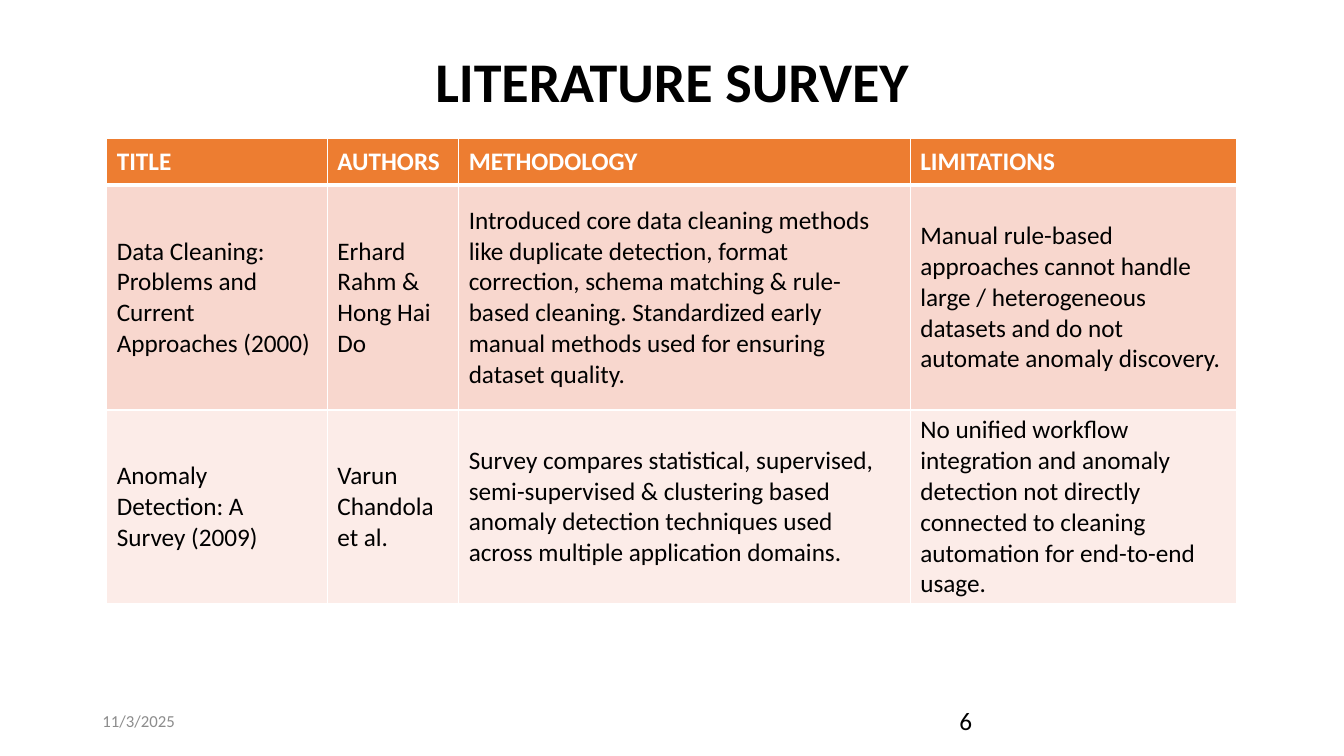
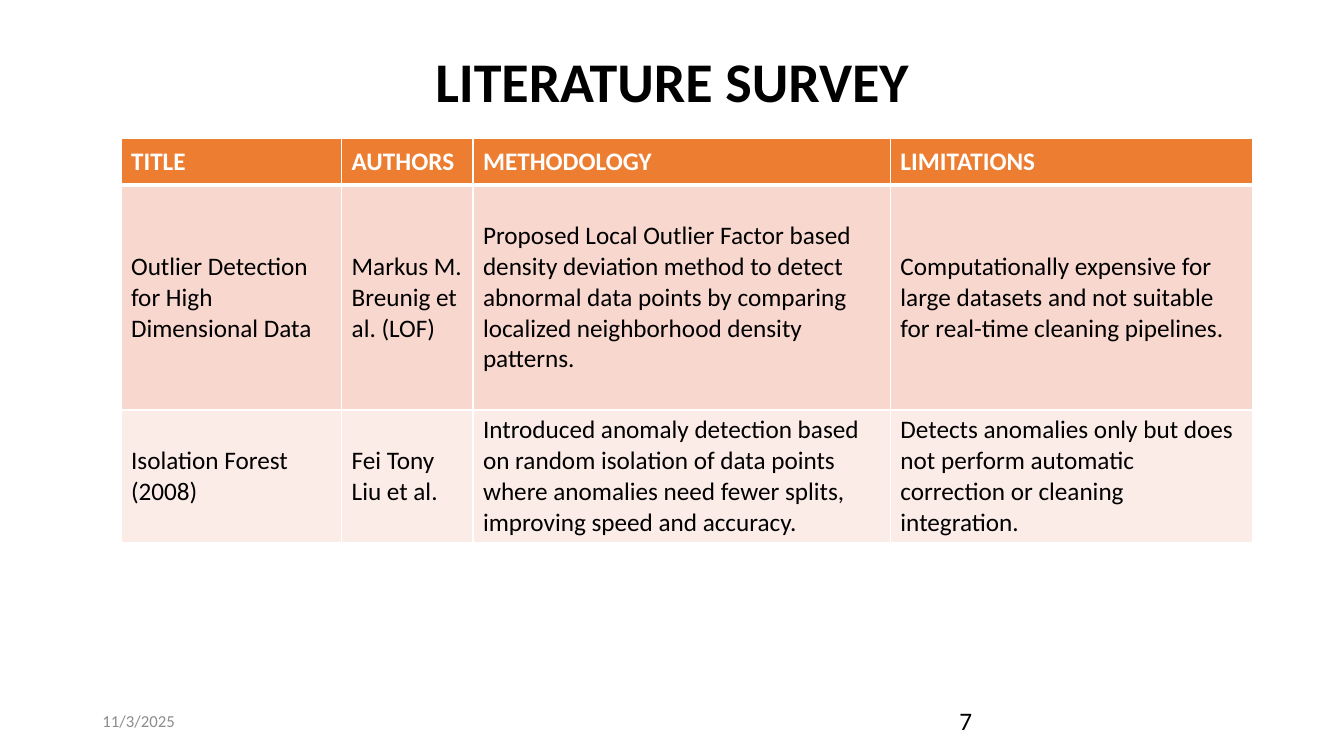
from lxml.etree import SubElement
from pptx import Presentation
from pptx.dml.color import RGBColor
from pptx.enum.text import MSO_ANCHOR, PP_ALIGN
from pptx.oxml.ns import qn
from pptx.util import Cm, Pt

FONT = "Calibri"
BLACK = RGBColor(0x00, 0x00, 0x00)
WHITE = RGBColor(0xFF, 0xFF, 0xFF)
GREY = RGBColor(0x8C, 0x8C, 0x8C)
ORANGE = RGBColor(0xED, 0x7D, 0x31)
BANDS = [RGBColor(0xF8, 0xD7, 0xCE), RGBColor(0xFC, 0xEC, 0xE8)]

TITLE = "LITERATURE SURVEY"
DATE = "11/3/2025"
HEADER = ("TITLE", "AUTHORS", "METHODOLOGY", "LIMITATIONS")
TABLE_TOP = 3.48

# Positions, column widths and row heights are in centimetres.
SLIDES = [
    {
        "number": 6,
        "left": 2.69,
        "columns": (5.56, 3.31, 11.38, 8.23),
        "rows": (1.19, 5.66, 4.88),
        "papers": [
            ("Data Cleaning: Problems and Current Approaches (2000)",
             "Erhard Rahm & Hong Hai Do",
             "Introduced core data cleaning methods like duplicate detection, "
             "format correction, schema matching & rule-based cleaning. "
             "Standardized early manual methods used for ensuring dataset quality.",
             "Manual rule-based approaches cannot handle large / heterogeneous "
             "datasets and do not automate anomaly discovery."),
            ("Anomaly Detection: A Survey (2009)",
             "Varun Chandola et al.",
             "Survey compares statistical, supervised, semi-supervised & "
             "clustering based anomaly detection techniques used across "
             "multiple application domains.",
             "No unified workflow integration and anomaly detection not directly "
             "connected to cleaning automation for end-to-end usage."),
        ],
    },
    {
        "number": 7,
        "left": 3.05,
        "columns": (5.56, 3.31, 10.52, 9.12),
        "rows": (1.19, 5.66, 3.35),
        "papers": [
            ("Outlier Detection for High Dimensional Data",
             "Markus M. Breunig et al. (LOF)",
             "Proposed Local Outlier Factor based density deviation method to "
             "detect abnormal data points by comparing localized neighborhood "
             "density patterns.",
             "Computationally expensive for large datasets and not suitable for "
             "real-time cleaning pipelines."),
            ("Isolation Forest (2008)",
             "Fei Tony Liu et al.",
             "Introduced anomaly detection based on random isolation of data "
             "points where anomalies need fewer splits, improving speed and "
             "accuracy.",
             "Detects anomalies only but does not perform automatic correction "
             "or cleaning integration."),
        ],
    },
]


def style(p, size, color, bold=False):
    p.font.name = FONT
    p.font.size = Pt(size)
    p.font.color.rgb = color
    p.font.bold = bold


def add_text(slide, text, box, size, color=BLACK, bold=False,
             anchor=MSO_ANCHOR.MIDDLE):
    tf = slide.shapes.add_textbox(*(Cm(v) for v in box)).text_frame
    tf.word_wrap = True
    tf.vertical_anchor = anchor
    p = tf.paragraphs[0]
    p.text = text
    style(p, size, color, bold)
    return p


def add_frame(slide, number):
    """Add the title, date and page number that every slide carries."""
    p = add_text(slide, TITLE, (2.33, 1.01, 29.21, 2.24), 40, bold=True)
    p.alignment = PP_ALIGN.CENTER
    p.line_spacing = 0.9
    add_text(slide, DATE, (2.33, 17.65, 7.62, 1.01), 12, GREY)
    add_text(slide, str(number), (23.93, 17.65, 7.62, 1.01), 18,
             anchor=MSO_ANCHOR.TOP)


def set_borders(cell, top, bottom):
    """Draw white cell borders; the sides are 1 pt, top and bottom as given."""
    tcPr = cell._tc.get_or_add_tcPr()
    for side, width in (("L", 1), ("R", 1), ("T", top), ("B", bottom)):
        ln = SubElement(tcPr, qn(f"a:ln{side}"), w=str(Pt(width)))
        fill = SubElement(ln, qn("a:solidFill"))
        SubElement(fill, qn("a:srgbClr"), val=str(WHITE))


def add_survey(slide, left, columns, rows, papers):
    table = slide.shapes.add_table(
        len(rows), len(columns), Cm(left), Cm(TABLE_TOP),
        Cm(sum(columns)), Cm(sum(rows))).table
    for column, width in zip(table.columns, columns):
        column.width = Cm(width)
    for i, (height, texts) in enumerate(zip(rows, [HEADER, *papers])):
        table.rows[i].height = Cm(height)
        is_header = i == 0
        for cell, text in zip(table.rows[i].cells, texts):
            cell.text = text
            cell.vertical_anchor = MSO_ANCHOR.MIDDLE
            style(cell.text_frame.paragraphs[0], 18,
                  WHITE if is_header else BLACK, is_header)
            set_borders(cell, top=3 if i == 1 else 1, bottom=3 if is_header else 1)
            cell.fill.solid()
            cell.fill.fore_color.rgb = ORANGE if is_header else BANDS[(i - 1) % 2]


def main():
    prs = Presentation()
    prs.slide_width, prs.slide_height = Cm(33.87), Cm(19.05)
    for data in SLIDES:
        slide = prs.slides.add_slide(prs.slide_layouts[6])
        add_frame(slide, data["number"])
        add_survey(slide, data["left"], data["columns"], data["rows"],
                   data["papers"])
    prs.save("out.pptx")


if __name__ == "__main__":
    main()
